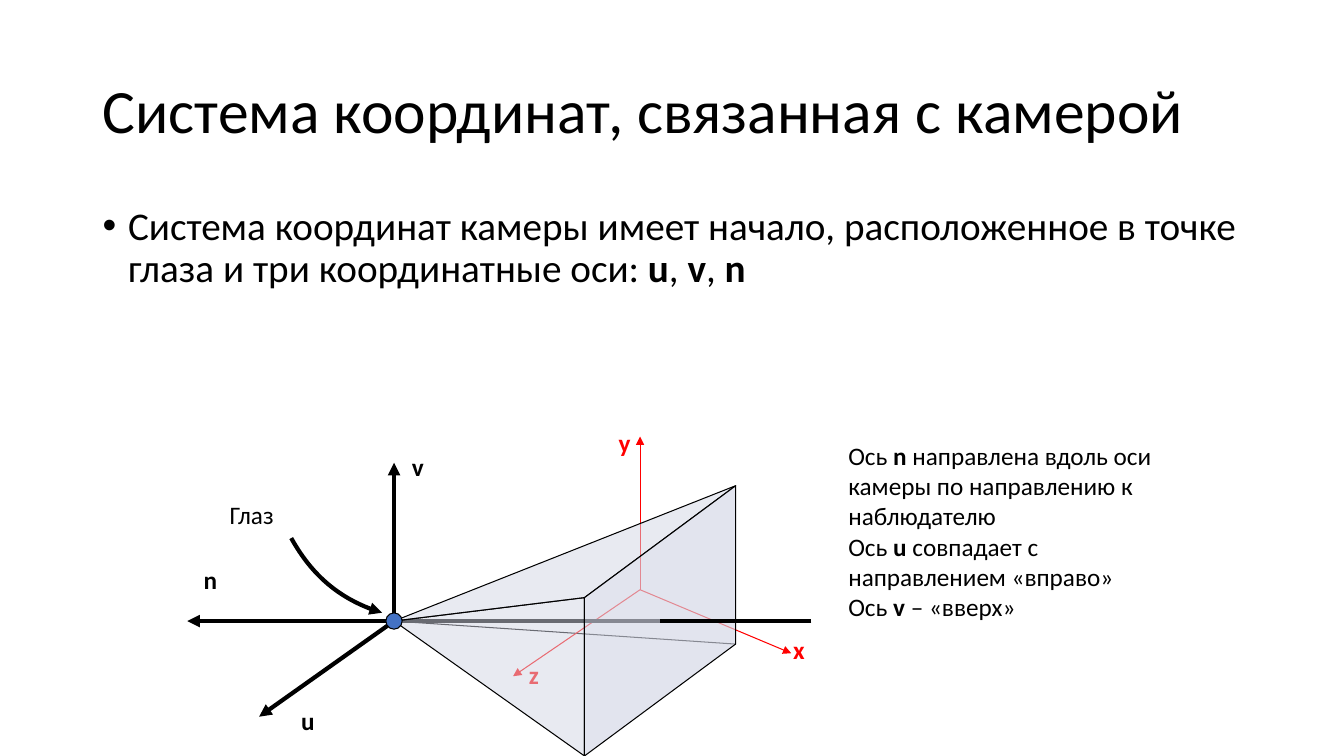
"""Builds the slide on the camera coordinate system with its u, v, n axes."""
import pptx
import pptx.util
import pptx.dml.color
import pptx.enum.shapes
import pptx.enum.text
import pptx.oxml
import pptx.oxml.ns

Cm, Pt = pptx.util.Cm, pptx.util.Pt
RGBColor = pptx.dml.color.RGBColor
Shape = pptx.enum.shapes.MSO_SHAPE
Anchor = pptx.enum.text.MSO_ANCHOR
AutoSize = pptx.enum.text.MSO_AUTO_SIZE
BLACK = RGBColor(0x00, 0x00, 0x00)
RED = RGBColor(0xFF, 0x00, 0x00)
BLUE = RGBColor(0x44, 0x72, 0xC4)
PALE = RGBColor(0xD3, 0xD6, 0xE5)
THIN, THICK = 0.75, 3

SLIDE = (33.87, 19.05)
TITLE = [[("Система координат, связанная с камерой", False)]]
BODY = [[
    ("Система координат камеры имеет начало, расположенное в точке глаза "
     "и три координатные оси: ", False),
    ("u", True), (", ", False), ("v", True), (", ", False), ("n", True),
]]
NOTE = [
    [("Ось ", False), ("n ", True),
     ("направлена вдоль оси камеры по направлению к наблюдателю", False)],
    [("Ось ", False), ("u ", True), ("совпадает с направлением «вправо»", False)],
    [("Ось ", False), ("v", True), (" – «вверх»", False)],
]
TITLE_BOX = (2.34, 1.02, 29.21, 3.68)
BODY_BOX = (2.34, 5.08, 29.21, 12.09)
NOTE_BOX = (21.13, 10.97, 8.51, 5.59)
EYE_LABEL_BOX = (5.54, 12.45, 1.88, 1.02)
LABEL_SIZE = (0.91, 1.02)

EYE = (9.93, 15.65)
EYE_SIZE = 0.41
WORLD = (16.13, 14.86)
SCREEN = (16.64, 15.65)
VIEW_END = (20.45, 15.65)
NEAR_TOP, NEAR_BOTTOM = (14.73, 15.06), (14.73, 19.05)
FAR_TOP, FAR_BOTTOM = (18.54, 12.24), (18.54, 16.23)
WORLD_TIPS = [(16.13, 11.0), (12.93, 17.04), (19.94, 16.46)]
CAMERA_AXES = [(SCREEN, (4.72, 15.65)), (EYE, (9.93, 11.66)), (EYE, (6.53, 18.06))]
AXIS_LABELS = [
    ("n", (4.88, 14.1), BLACK), ("u", (7.34, 17.65), BLACK),
    ("v", (10.13, 11.25), BLACK), ("z", (13.08, 16.48), RED),
    ("x", (19.74, 15.85), RED), ("y", (15.34, 10.64), RED),
]
POINTER = [(7.34, 13.56), (7.85, 14.48), (8.66, 15.16), (9.63, 15.44)]


def lengths(values):
    return [Cm(value) for value in values]


def add_child(parent, tag, **attributes):
    child = pptx.oxml.ns.qn(tag)
    element = parent.makeelement(child, attributes)
    parent.append(element)
    return element


def set_line(shape, color, width, arrow=False):
    shape.line.color.rgb = color
    shape.line.width = Pt(width)
    if arrow:
        add_child(shape.line._get_or_add_ln(), "a:tailEnd", type="triangle")


def add_line(page, start, end, color, width, arrow=False):
    line = page.shapes.add_connector(
        pptx.enum.shapes.MSO_CONNECTOR.STRAIGHT, *lengths(start + end))
    set_line(line, color, width, arrow)
    add_child(line._element.spPr, "a:effectLst")


def add_text(page, box, content, size, color=BLACK, frame_format=None,
             spacing=None, bullet=False):
    frame = page.shapes.add_textbox(*lengths(box)).text_frame
    for name, value in (frame_format or {}).items():
        setattr(frame, name, value)
    for index, spans in enumerate(content):
        para = frame.paragraphs[0] if index == 0 else frame.add_paragraph()
        if spacing:
            para.line_spacing = spacing
        if bullet:
            properties = para._p.get_or_add_pPr()
            properties.set("marL", str(Cm(0.64)))
            properties.set("indent", str(-Cm(0.64)))
            add_child(properties, "a:buFont", typeface="Arial")
            add_child(properties, "a:buChar", char="•")
        for text, bold in spans:
            span = para.add_run()
            span.text = text
            font_format = {"name": "Calibri", "size": Pt(size), "bold": bold}
            for name, value in font_format.items():
                setattr(span.font, name, value)
            span.font.color.rgb = color


def fill_shape(shape, color, opacity=100):
    shape.shadow.inherit = False
    shape.fill.solid()
    shape.fill.fore_color.rgb = color
    if opacity < 100:
        tone = shape._element.spPr.find(".//" + pptx.oxml.ns.qn("a:srgbClr"))
        add_child(tone, "a:alpha", val=str(opacity * 1000))
    set_line(shape, BLACK, THIN)


def add_outline(page, points, close):
    builder = page.shapes.build_freeform(*lengths(points[0]))
    builder.add_line_segments([lengths(point) for point in points[1:]], close=close)
    return builder.convert_to_shape()


def add_far_plane(page):
    length = NEAR_BOTTOM[1] - FAR_TOP[1]
    depth = FAR_TOP[0] - NEAR_TOP[0]
    left = (NEAR_TOP[0] + FAR_TOP[0] - length) / 2
    top = (NEAR_BOTTOM[1] + FAR_TOP[1] - depth) / 2
    plane = page.shapes.add_shape(
        Shape.PARALLELOGRAM, *lengths((left, top, length, depth)))
    plane.adjustments[0] = (NEAR_TOP[1] - FAR_TOP[1]) / depth
    plane.rotation = 270
    plane._element.spPr.find(pptx.oxml.ns.qn("a:xfrm")).set("flipH", "1")
    fill_shape(plane, PALE, 64)


def add_pointer(page):
    pointer = add_outline(page, POINTER, False)
    pointer.shadow.inherit = False
    pointer.fill.background()
    set_line(pointer, BLACK, THICK, True)
    track = pointer._element.spPr.find(".//" + pptx.oxml.ns.qn("a:path"))
    segments = track.findall(pptx.oxml.ns.qn("a:lnTo"))
    curve = add_child(track, "a:cubicBezTo")
    for segment in segments:
        curve.append(segment[0])
        track.remove(segment)


def main():
    deck = pptx.Presentation()
    deck.slide_width, deck.slide_height = lengths(SLIDE)
    page = deck.slides.add_slide(deck.slide_layouts[6])
    wrapped = {"word_wrap": True}
    label = {"word_wrap": False, "auto_size": AutoSize.SHAPE_TO_FIT_TEXT}

    add_line(page, FAR_BOTTOM, EYE, BLACK, THIN)
    for tip in WORLD_TIPS:
        add_line(page, WORLD, tip, RED, THIN, True)

    add_text(page, TITLE_BOX, TITLE, 44, spacing=0.9,
             frame_format={"word_wrap": True, "vertical_anchor": Anchor.MIDDLE})
    add_text(page, BODY_BOX, BODY, 28, spacing=0.9, bullet=True, frame_format=wrapped)

    for start, tip in CAMERA_AXES:
        add_line(page, start, tip, BLACK, THICK, True)
    for name, corner, color in AXIS_LABELS:
        add_text(page, corner + LABEL_SIZE, [[(name, True)]], 18, color, label)

    for face in ([NEAR_BOTTOM, NEAR_TOP, EYE], [NEAR_TOP, FAR_TOP, EYE]):
        fill_shape(add_outline(page, face, True), PALE, 50)
    add_far_plane(page)
    add_line(page, VIEW_END, SCREEN, BLACK, THICK)

    corner = [center - EYE_SIZE / 2 for center in EYE]
    eye = page.shapes.add_shape(Shape.OVAL, *lengths(corner + [EYE_SIZE] * 2))
    fill_shape(eye, BLUE)
    add_text(page, EYE_LABEL_BOX, [[("Глаз", False)]], 18, frame_format=label)
    add_pointer(page)
    add_text(page, NOTE_BOX, NOTE, 18, frame_format=wrapped)
    deck.save("out.pptx")


if __name__ == "__main__":
    main()
